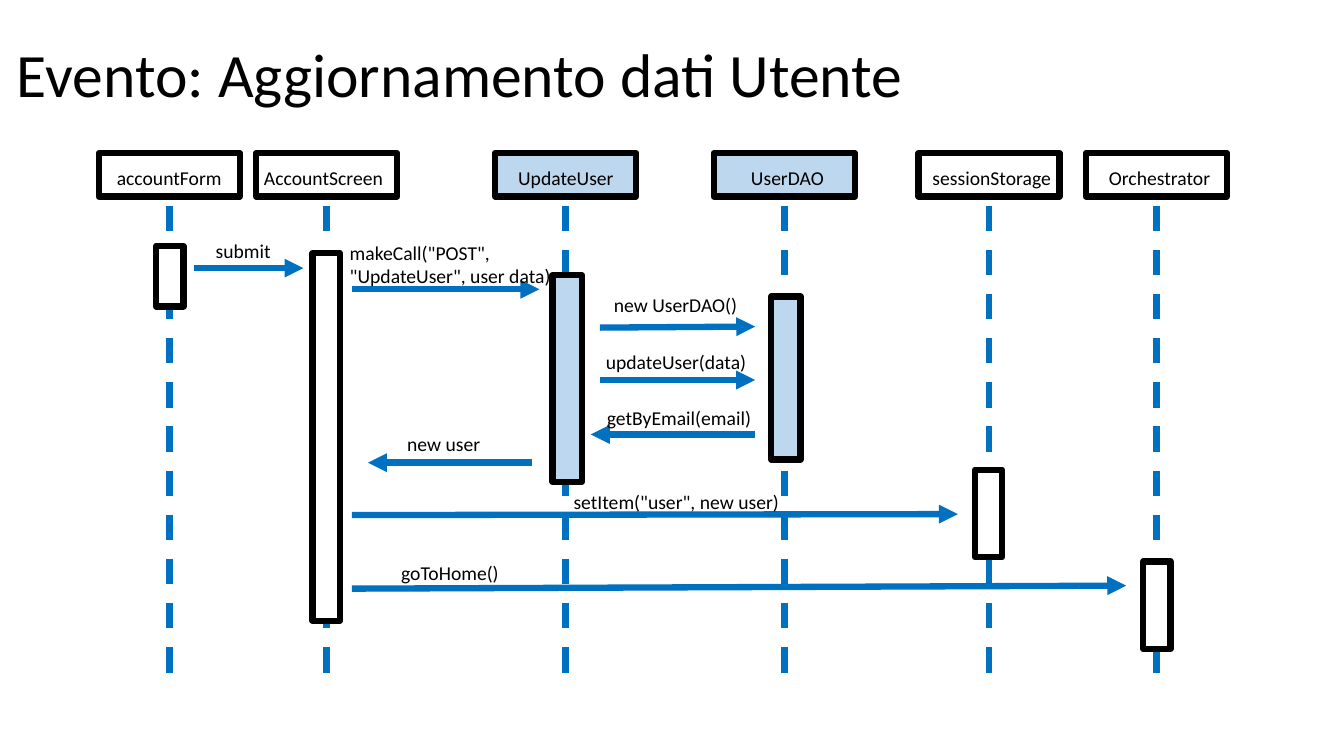
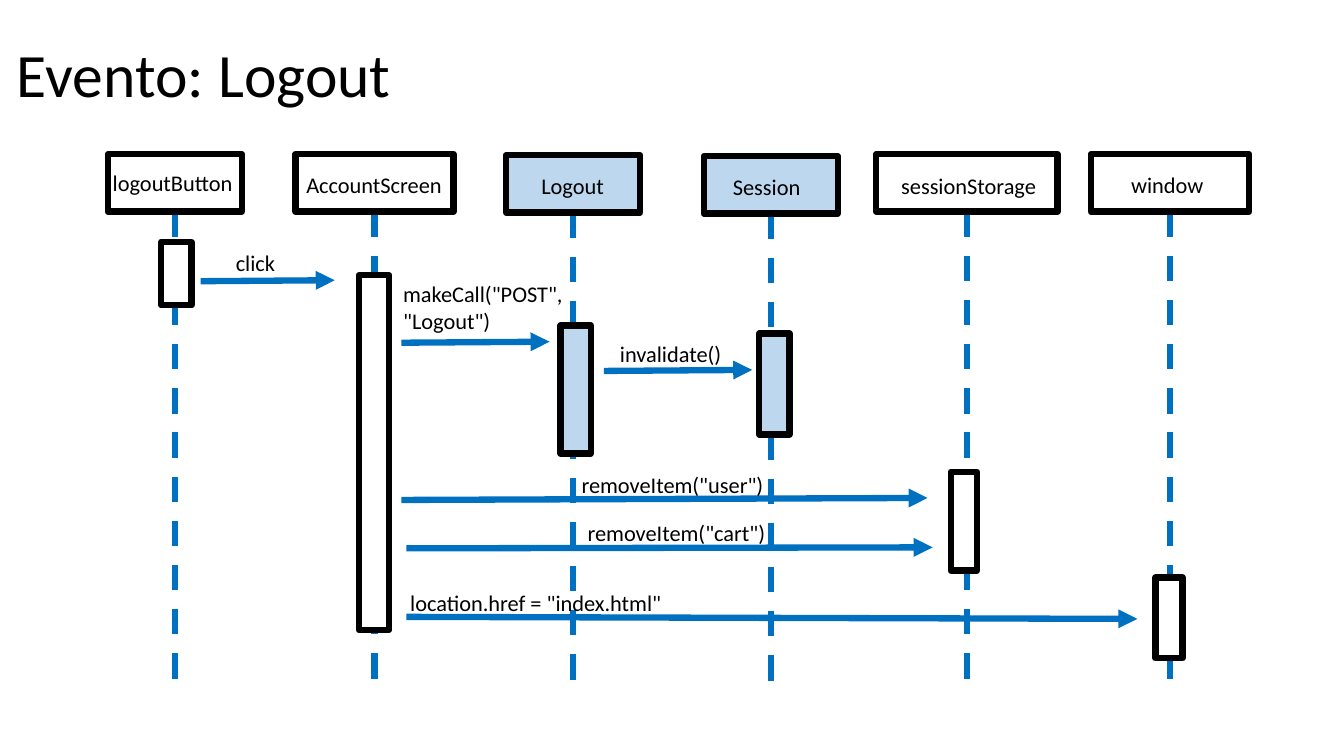
from dataclasses import dataclass

from lxml import etree
from pptx import Presentation
from pptx.dml.color import RGBColor
from pptx.enum.dml import MSO_LINE
from pptx.enum.shapes import MSO_CONNECTOR, MSO_SHAPE
from pptx.enum.text import MSO_ANCHOR, MSO_AUTO_SIZE
from pptx.oxml.ns import qn
from pptx.util import Inches, Pt

RECT = MSO_SHAPE.RECTANGLE
STRAIGHT = MSO_CONNECTOR.STRAIGHT
DASH = MSO_LINE.DASH
MIDDLE = MSO_ANCHOR.MIDDLE
GROW = MSO_AUTO_SIZE.SHAPE_TO_FIT_TEXT
BOTTOM_SIDE = 2

COLORS = {"text": "000000", "client": "FFFFFF", "server": "BDD7EE",
          "border": "000000", "flow": "0070C0"}
FONT = "Calibri"
TITLE_SIZE = 44
LINE_WIDTH = 4.5
LIFELINE_LENGTH = 4.73
LINE_HEIGHT = 1.22 / 72  # inches per point of text size
BOX_PADDING = 0.1


@dataclass
class Participant:
    name: str
    side: str  # colour key: client or server
    head: tuple[float, float, float]  # left, top, width
    label: tuple[float, float, float]  # left, top, width
    bar: tuple[float, float, float, float]  # left, top, width, height


@dataclass
class Message:
    text: str
    start: tuple[float, float]
    end: tuple[float, float]
    label: tuple[float, float, float]  # left, top, width
    lines: int = 1


@dataclass
class Diagram:
    title: str
    text_size: int
    head_height: float
    lifeline_gap: float
    participants: list[Participant]
    messages: list[Message]


def color(key: str) -> RGBColor:
    return RGBColor.from_string(COLORS[key])


def add_text(s, text: str, left: float, top: float, width: float,
             height: float, size: int):
    sp = s.shapes.add_textbox(Inches(left), Inches(top),
                              Inches(width), Inches(height))
    tf = sp.text_frame
    tf.word_wrap = True
    tf.text = text
    r = tf.paragraphs[0].runs[0]
    r.font.name = FONT
    r.font.size = Pt(size)
    r.font.color.rgb = color("text")
    return tf


def add_title(s, text: str) -> None:
    tf = add_text(s, text, 0.07, 0.04, 12.08, 1.45, TITLE_SIZE)
    tf.vertical_anchor = MIDDLE
    tf.paragraphs[0].line_spacing = 0.9


def add_label(s, text: str, place: tuple[float, float, float], size: int,
              lines: int = 1) -> None:
    height = lines * size * LINE_HEIGHT + BOX_PADDING
    add_text(s, text, *place, height, size).auto_size = GROW


def add_box(s, left: float, top: float, width: float, height: float,
            side: str):
    sp = s.shapes.add_shape(RECT, Inches(left), Inches(top),
                            Inches(width), Inches(height))
    sp.shadow.inherit = False
    sp.fill.solid()
    sp.fill.fore_color.rgb = color(side)
    sp.line.color.rgb = color("border")
    sp.line.width = Pt(LINE_WIDTH)
    return sp


def add_line(s, start: tuple[float, float], end: tuple[float, float]):
    line = s.shapes.add_connector(STRAIGHT, *map(Inches, start + end))
    line.line.color.rgb = color("flow")
    line.line.width = Pt(LINE_WIDTH)
    etree.SubElement(line._element.spPr, qn("a:effectLst"))
    return line


def add_participant(s, who: Participant, d: Diagram) -> None:
    left, top, width = who.head
    center = left + width / 2
    start = top + d.head_height + d.lifeline_gap
    lifeline = add_line(s, (center, start), (center, start + LIFELINE_LENGTH))
    lifeline.line.dash_style = DASH
    head = add_box(s, left, top, width, d.head_height, who.side)
    if not d.lifeline_gap:
        lifeline.begin_connect(head, BOTTOM_SIDE)
    add_label(s, who.name, who.label, d.text_size)
    add_box(s, *who.bar, who.side)


def add_message(s, m: Message, size: int) -> None:
    arrow = add_line(s, m.start, m.end)
    ln = arrow.line._get_or_add_ln()
    etree.SubElement(ln, qn("a:tailEnd"), type="triangle")
    add_label(s, m.text, m.label, size, m.lines)


def add_diagram(prs, d: Diagram) -> None:
    s = prs.slides.add_slide(prs.slide_layouts[6])
    add_title(s, d.title)
    for who in d.participants:
        add_participant(s, who, d)
    for m in d.messages:
        add_message(s, m, d.text_size)


# Account update
UPDATE = Diagram(
    "Evento: Aggiornamento dati Utente", 14, 0.43, 0.09,
    [
        Participant("accountForm", "client", (0.98, 1.52, 1.4),
                    (1.06, 1.6, 1.25), (1.55, 2.44, 0.27, 0.6)),
        Participant("AccountScreen", "client", (2.54, 1.52, 1.4),
                    (2.52, 1.6, 1.47), (3.1, 2.51, 0.27, 3.65)),
        Participant("UpdateUser", "server", (4.91, 1.52, 1.4),
                    (5.04, 1.6, 1.25), (5.48, 2.73, 0.29, 2.05)),
        Participant("UserDAO", "server", (7.08, 1.52, 1.4),
                    (7.35, 1.6, 1.25), (7.65, 2.94, 0.29, 1.62)),
        Participant("sessionStorage", "client", (9.11, 1.52, 1.4),
                    (9.15, 1.6, 1.48), (9.67, 4.66, 0.27, 0.87)),
        Participant("Orchestrator", "client", (10.77, 1.52, 1.4),
                    (10.9, 1.6, 1.25), (11.34, 5.57, 0.27, 0.87)),
    ],
    [
        Message("submit", (1.92, 2.66), (3.01, 2.66), (2.04, 2.32, 0.86)),
        Message('makeCall("POST", "UpdateUser", user data)',
                (3.49, 2.87), (5.35, 2.87), (3.37, 2.34, 2.25), 2),
        Message("new UserDAO()", (5.95, 3.25), (7.49, 3.24),
                (5.99, 2.86, 1.61)),
        Message("updateUser(data)", (5.95, 3.77), (7.49, 3.77),
                (5.91, 3.42, 1.88)),
        Message("getByEmail(email)", (7.49, 4.31), (5.86, 4.31),
                (5.92, 3.98, 1.72)),
        Message("new user", (5.28, 4.59), (3.65, 4.59), (3.94, 4.24, 1.72)),
        Message('setItem("user", new user)', (3.49, 5.11), (9.5, 5.1),
                (5.59, 4.81, 2.56)),
        Message("goToHome()", (3.49, 5.84), (11.17, 5.81),
                (3.88, 5.52, 1.22)),
    ],
)

# Logout
LOGOUT = Diagram(
    "Evento: Logout", 16, 0.57, 0,
    [
        Participant("logoutButton", "client", (1.07, 1.53, 1.33),
                    (1.02, 1.63, 1.46), (1.6, 2.4, 0.3, 0.63)),
        Participant("AccountScreen", "client", (2.93, 1.53, 1.57),
                    (2.94, 1.65, 1.57), (3.56, 2.73, 0.3, 3.52)),
        Participant("Logout", "server", (5.02, 1.54, 1.33),
                    (5.27, 1.66, 1.32), (5.56, 3.23, 0.3, 1.27)),
        Participant("Session", "server", (6.98, 1.55, 1.33),
                    (7.17, 1.67, 0.99), (7.53, 3.31, 0.3, 1)),
        Participant("sessionStorage", "client", (8.69, 1.53, 1.8),
                    (8.84, 1.66, 1.56), (9.43, 4.68, 0.26, 0.98)),
        Participant("window", "client", (10.82, 1.53, 1.57),
                    (11.12, 1.65, 1.11), (11.46, 5.73, 0.27, 0.8)),
    ],
    [
        Message("click", (1.99, 2.79), (3.32, 2.78), (2.24, 2.42, 1.64)),
        Message('makeCall("POST", "Logout")', (3.98, 3.4), (5.45, 3.39),
                (3.9, 2.73, 1.87), 2),
        Message("invalidate()", (5.99, 3.68), (7.46, 3.67),
                (6.05, 3.32, 1.43)),
        Message('removeItem("user")', (3.98, 4.96), (9.2, 4.94),
                (5.67, 4.62, 2.12)),
        Message('removeItem("cart")', (4.03, 5.44), (9.25, 5.43),
                (5.73, 5.1, 2.12)),
        Message('location.href = "index.html"', (4.03, 6.12), (11.28, 6.14),
                (3.97, 5.8, 3.22)),
    ],
)


def main() -> None:
    prs = Presentation()
    prs.slide_width = Inches(13.33)
    prs.slide_height = Inches(7.5)
    for d in (UPDATE, LOGOUT):
        add_diagram(prs, d)
    prs.save("out.pptx")


if __name__ == "__main__":
    main()
